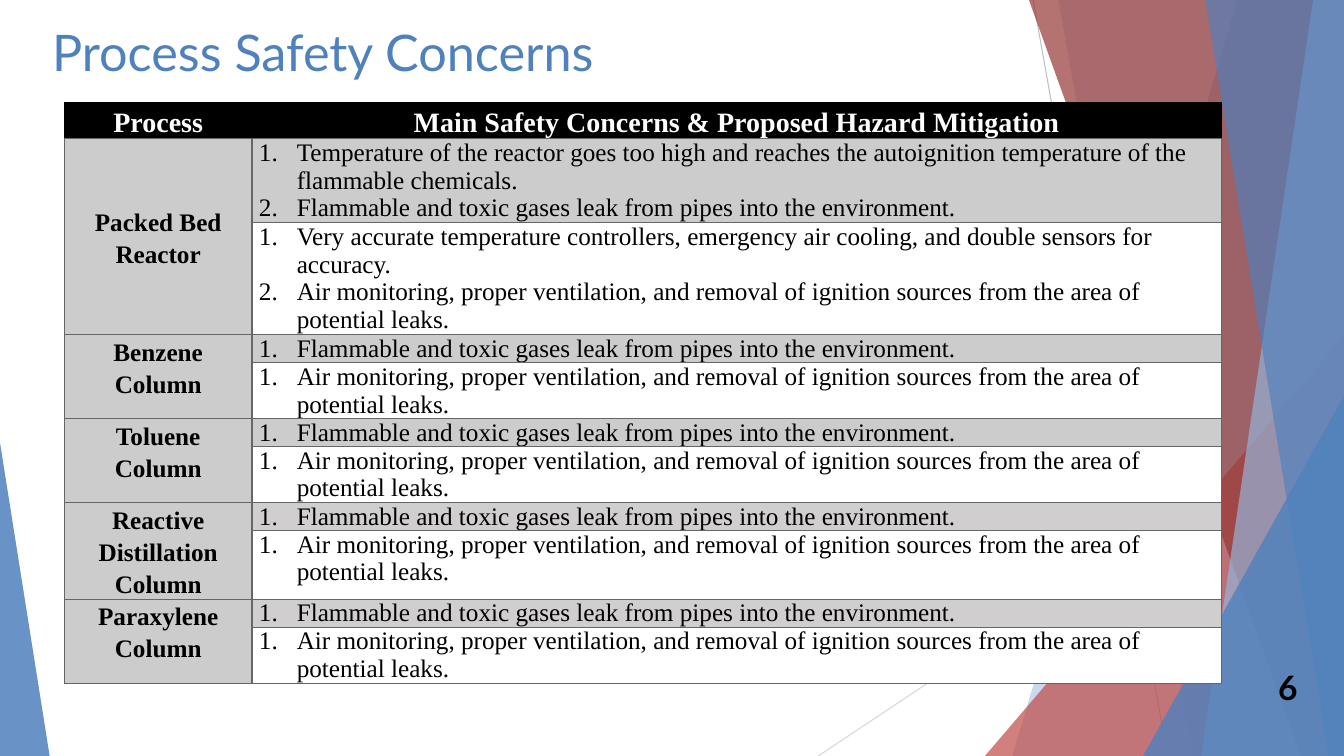
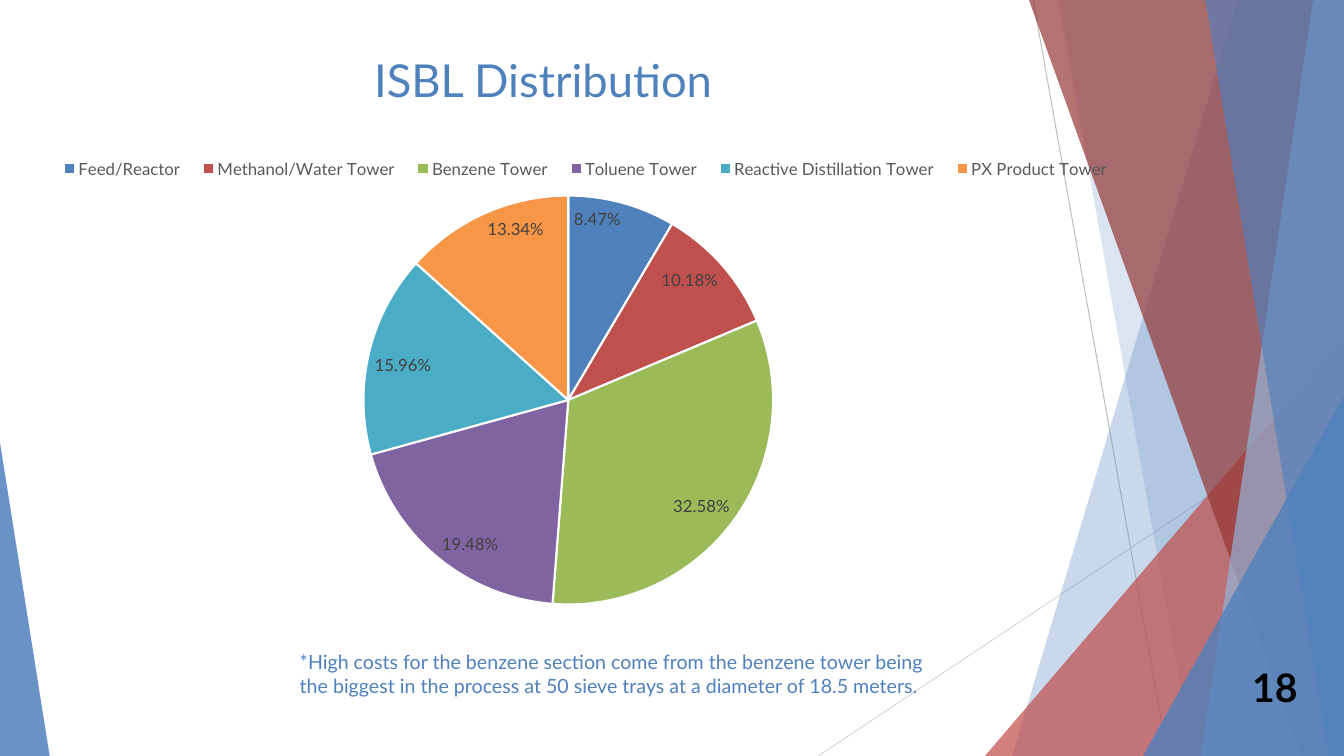
from lxml import etree
from pptx import Presentation
from pptx.chart.data import CategoryChartData
from pptx.dml.color import RGBColor
from pptx.enum import chart as ec, shapes as es, text as et
from pptx.oxml import parse_xml
from pptx.oxml.ns import nsdecls, qn
from pptx.util import Pt

W, H = 960, 540
BLUE, RED, DARK_RED, PALE_BLUE = "4F81BD", "C0504D", "953735", "95B3D7"
BLACK, WHITE, BORDER, GREY, WARM_GREY = "000000", "FFFFFF", "666666", "CCCCCC", "D0CECE"
SANS, SERIF = "Lato", "Times New Roman"

LEAK = "Flammable and toxic gases leak from pipes into the environment."
VENTILATE = ("Air monitoring, proper ventilation, and removal of ignition sources "
             "from the area of potential leaks.")
# Process, concerns, mitigations, heights of the two rows, fill of the concerns
PROCESSES = [
    ("Packed Bed Reactor",
     ["Temperature of the reactor goes too high and reaches the autoignition "
      "temperature of the flammable chemicals.", LEAK],
     ["Very accurate temperature controllers, emergency air cooling, and double "
      "sensors for accuracy.", VENTILATE], (60, 80), GREY),
    ("Benzene Column", [LEAK], [VENTILATE], (20, 40), GREY),
    ("Toluene Column", [LEAK], [VENTILATE], (20, 40), GREY),
    ("Reactive Distillation Column", [LEAK], [VENTILATE], (20, 49), WARM_GREY),
    ("Paraxylene Column", [LEAK], [VENTILATE], (20, 40), WARM_GREY),
]
# Section, share, colour
COSTS = [
    ("Feed/Reactor", 0.0847, BLUE),
    ("Methanol/Water Tower", 0.1018, RED),
    ("Benzene Tower", 0.3258, "9BBB59"),
    ("Toluene Tower", 0.1948, "8064A2"),
    ("Reactive Distillation Tower", 0.1596, "4BACC6"),
    ("PX Product Tower", 0.1334, "F79646"),
]


# Shared helpers
def rgb(value):
    return RGBColor.from_string(value)


def pts(*values):
    return [Pt(v) for v in values]


def set_font(font, color, **formats):
    font.color.rgb = rgb(color)
    for name, value in formats.items():
        setattr(font, name, value)


def paint(sp, color, opacity):
    """Fill a shape with a see-through colour, without outline or shadow."""
    sp.shadow.inherit = False
    sp.line.fill.background()
    sp.fill.solid()
    sp.fill.fore_color.rgb = rgb(color)
    clr = sp.fill._xPr.find(qn("a:solidFill"))[0]
    etree.SubElement(clr, qn("a:alpha"), val=str(opacity * 1000))


def write(tf, text, color, size, align=et.PP_ALIGN.LEFT, anchor=et.MSO_ANCHOR.TOP,
          bold=False):
    formats = dict(word_wrap=True, auto_size=et.MSO_AUTO_SIZE.NONE,
                   vertical_anchor=anchor)
    for name, value in formats.items():
        setattr(tf, name, value)
    p = tf.paragraphs[0]
    p.alignment = align
    r = p.add_run()
    r.text = text
    set_font(r.font, color, name=SANS, size=Pt(size), bold=bold)


# Backdrop, kept on the layout
def add_rule(shapes, start, end, color):
    line = shapes.add_connector(es.MSO_CONNECTOR.STRAIGHT, *pts(*start, *end))
    line.line.color.rgb = rgb(color)
    line.line.width = Pt(0.75)
    etree.SubElement(line._element.spPr, qn("a:effectLst"))


def add_shard(shapes, top_x, bottom_x, color, opacity):
    """A band from a slanted left edge to the right edge of the slide."""
    fb = shapes.build_freeform(Pt(top_x), 0)
    fb.add_line_segments([pts(W, 0), pts(W, H), pts(bottom_x, H)], close=True)
    paint(fb.convert_to_shape(), color, opacity)


def add_corner(shapes, left, top, width, apex, color, opacity):
    """A right triangle standing on the bottom edge of the slide."""
    sp = shapes.add_shape(es.MSO_SHAPE.ISOSCELES_TRIANGLE,
                          *pts(left, top, width, H - top))
    sp.adjustments[0] = apex
    paint(sp, color, opacity)


def add_backdrop(s):
    group = s.shapes.add_group_shape()
    shapes = group.shapes
    add_rule(shapes, (738, 0), (834, H), "BFBFBF")
    add_rule(shapes, (W, 290), (584.5, H), "D9D9D9")
    add_shard(shapes, 884, 723, BLUE, 30)
    add_shard(shapes, 756, 852, BLUE, 20)
    add_corner(shapes, 703.5, 240, 256.5, 1, RED, 72)
    add_shard(shapes, 735, 929.5, DARK_RED, 70)
    add_shard(shapes, 938, 858, PALE_BLUE, 70)
    add_shard(shapes, 861, 949, BLUE, 65)
    add_corner(shapes, 816.5, 283, 143.5, 1, BLUE, 80)
    add_corner(shapes, 0, 316, 35.5, 0, BLUE, 85)
    s.slide_layout.shapes._spTree.insert(2, group._element)


# Title and slide number
def add_slide(prs, title, box, size, number, number_size):
    s = prs.slides.add_slide(prs.slide_layouts[5])
    sp = s.shapes.title
    sp.left, sp.top, sp.width, sp.height = pts(*box)
    write(sp.text_frame, title, BLUE, size)
    sp = s.shapes.add_textbox(*pts(880, 476, 54, 29))
    write(sp.text_frame, number, BLACK, number_size, et.PP_ALIGN.RIGHT,
          et.MSO_ANCHOR.MIDDLE, True)
    return s


# Safety table
def style_cell(cell, fill, border):
    tcPr = cell._tc.get_or_add_tcPr()
    for side in "LRTB":
        tcPr.append(parse_xml(
            f'<a:ln{side} {nsdecls("a")} w="12700"><a:solidFill>'
            f'<a:srgbClr val="{border}"/></a:solidFill></a:ln{side}>'))
    cell.fill.solid()
    cell.fill.fore_color.rgb = rgb(fill)
    cell.margin_left = cell.margin_right = Pt(5)
    cell.margin_top = cell.margin_bottom = 0


def write_heading(cell, text, color, size):
    p = cell.text_frame.paragraphs[0]
    p.text = text
    p.alignment = et.PP_ALIGN.CENTER
    p.line_spacing = 1.15
    set_font(p.runs[0].font, color, name=SERIF, size=Pt(size), bold=True)


def write_numbered(cell, items):
    tf = cell.text_frame
    for i, item in enumerate(items):
        p = tf.paragraphs[0] if i == 0 else tf.add_paragraph()
        p.text = item
        pPr = p._p.get_or_add_pPr()
        pPr.set("marL", str(Pt(27)))
        pPr.set("indent", str(-Pt(27)))
        etree.SubElement(pPr, qn("a:buFont"), typeface="+mj-lt")
        etree.SubElement(pPr, qn("a:buAutoNum"), type="arabicPeriod")
        set_font(p.runs[0].font, BLACK, name=SERIF, size=Pt(18), bold=False)


def add_safety_table(s, left, top, col_widths):
    heights = [25] + [h for process in PROCESSES for h in process[3]]
    table = s.shapes.add_table(len(heights), 2, *pts(
        left, top, sum(col_widths), sum(heights))).table
    for col, width in zip(table.columns, col_widths):
        col.width = Pt(width)
    for row, height in zip(table.rows, heights):
        row.height = Pt(height)

    headings = ("Process", "Main Safety Concerns & Proposed Hazard Mitigation")
    for col, heading in enumerate(headings):
        style_cell(table.cell(0, col), BLACK, BLACK)
        write_heading(table.cell(0, col), heading, WHITE, 20)

    for i, (name, concerns, mitigations, _, fill) in enumerate(PROCESSES):
        row = 1 + 2 * i
        process = table.cell(row, 0)
        process.merge(table.cell(row + 1, 0))
        write_heading(process, name, BLACK, 18)
        if i == 0:
            process.vertical_anchor = et.MSO_ANCHOR.MIDDLE
        for r, items, color in ((row, concerns, fill), (row + 1, mitigations, WHITE)):
            style_cell(table.cell(r, 0), GREY, BORDER)
            style_cell(table.cell(r, 1), color, BORDER)
            write_numbered(table.cell(r, 1), items)


# Cost chart
def layout_xml(x, y, w, h, inner=False):
    target = '<c:layoutTarget val="inner"/>' if inner else ""
    sizes = "".join(f'<c:{k} val="{v}"/>' for k, v in zip("xywh", (x, y, w, h)))
    return parse_xml(
        f'<c:layout {nsdecls("c")}><c:manualLayout>{target}<c:xMode val="edge"/>'
        f'<c:yMode val="edge"/>{sizes}</c:manualLayout></c:layout>')


def add_cost_pie(s, box):
    data = CategoryChartData(number_format="0.00%")
    data.categories = [name for name, _, _ in COSTS]
    data.add_series("Series 1", [share for _, share, _ in COSTS])
    chart = s.shapes.add_chart(ec.XL_CHART_TYPE.PIE, *pts(*box), data).chart
    chart.has_title = False
    set_font(chart.font, BLACK, name=SANS, size=Pt(10))

    # Slices and their labels
    plot = chart.plots[0]
    plot.vary_by_categories = True
    for i, (_, _, color) in enumerate(COSTS):
        fmt = plot.series[0].points[i].format
        fmt.fill.solid()
        fmt.fill.fore_color.rgb = rgb(color)
        fmt.line.color.rgb = rgb(WHITE)
        fmt.line.width = Pt(1.5)
    plot.has_data_labels = True
    labels = plot.data_labels
    formats = dict(show_value=True, show_percentage=False, number_format="0.00%",
                   number_format_is_linked=False,
                   position=ec.XL_LABEL_POSITION.INSIDE_END)
    for name, value in formats.items():
        setattr(labels, name, value)
    set_font(labels.font, "404040", name=SANS, size=Pt(12))

    # Legend above the pie
    chart.has_legend = True
    legend = chart.legend
    legend.position = ec.XL_LEGEND_POSITION.BOTTOM
    legend.include_in_layout = False
    set_font(legend.font, "595959", name=SANS, size=Pt(12))
    legend._element.find(qn("c:legendPos")).addnext(layout_xml(0.04, 0.16, 0.92, 0.06))

    plot_area = chart._chartSpace.chart.plotArea
    for old in plot_area.findall(qn("c:layout")):
        plot_area.remove(old)
    plot_area.insert(0, layout_xml(0.31, 0.24, 0.35, 0.76, inner=True))


def main():
    prs = Presentation()
    prs.slide_width, prs.slide_height = pts(W, H)

    s = add_slide(prs, "Process Safety Concerns", (30, 11.5, 677, 104), 36, "6", 24)
    add_backdrop(s)
    add_safety_table(s, 46, 73.5, (134, 692.5))

    s = add_slide(prs, "ISBL Distribution", (260, 34, 287, 45), 32.4, "18", 28)
    add_cost_pie(s, (0, 47.5, 837, 385))
    note = s.shapes.add_textbox(*pts(207, 461, 465, 58))
    write(note.text_frame,
          "*High costs for the benzene section come from the benzene tower being the "
          "biggest in the process at 50 sieve trays at a diameter of 18.5 meters.",
          BLUE, 14)
    prs.save("out.pptx")


if __name__ == "__main__":
    main()
